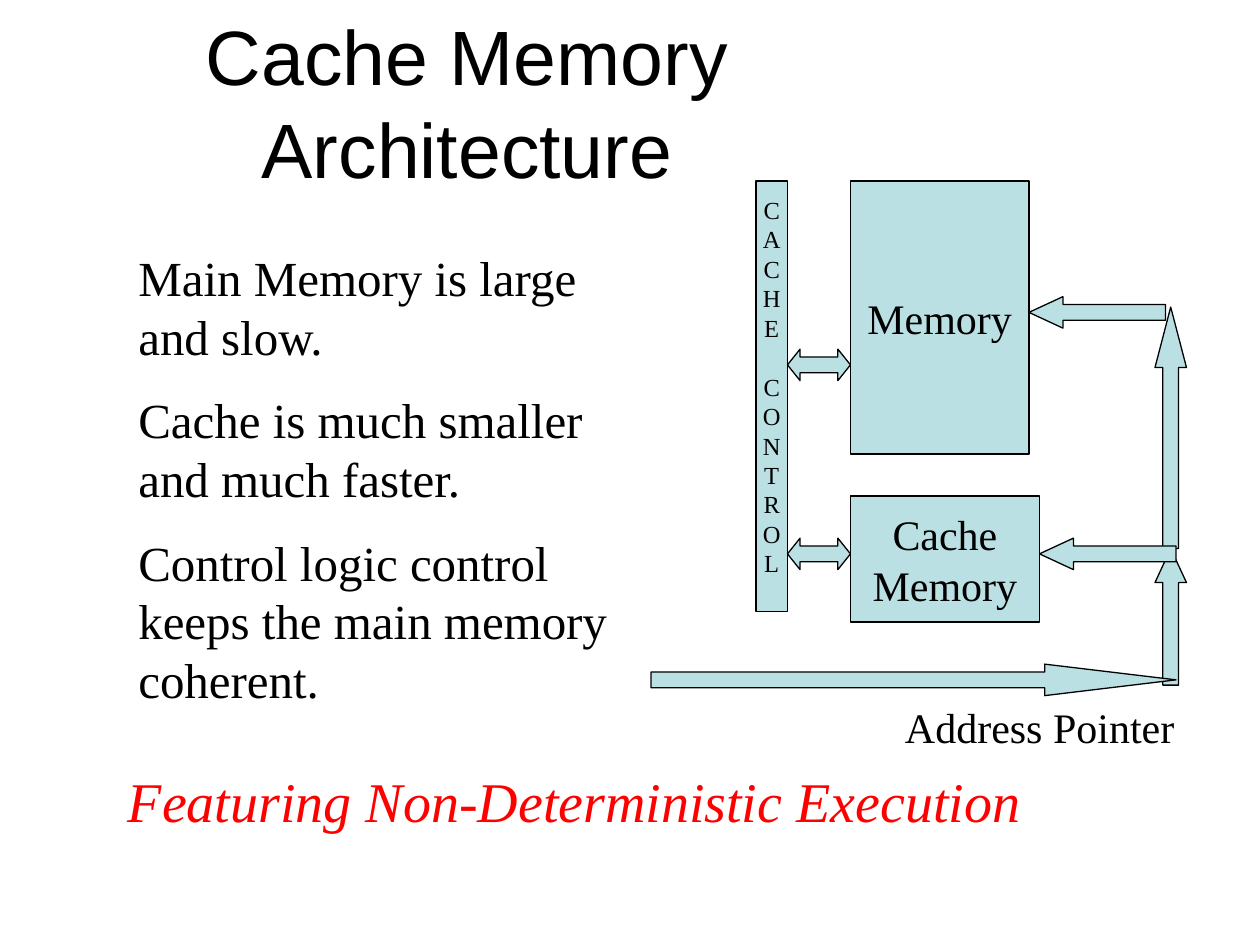
from pptx import Presentation
from pptx.dml.color import RGBColor
from pptx.enum.shapes import MSO_SHAPE as Preset
from pptx.enum.text import MSO_ANCHOR as Anchor, MSO_AUTO_SIZE as AutoSize, PP_ALIGN as Align
from pptx.util import Inches, Pt

prs = Presentation()
prs.slide_width, prs.slide_height = Inches(10), Inches(7.5)
slide = prs.slides.add_slide(prs.slide_layouts[5])

# The slide is a grid of 120 columns by 90 rows.
CELL = prs.slide_width / 120


def write(frame, paragraphs, size, font="Times New Roman", color="000000", italic=False,
          align=Align.LEFT, anchor=Anchor.TOP, wrap=True, gap=0, gap_before=None):
    """Fill a frame; gap goes before each later paragraph, or only before number gap_before."""
    frame.word_wrap, frame.auto_size, frame.vertical_anchor = wrap, AutoSize.NONE, anchor
    for number, wording in enumerate(paragraphs):
        paragraph = frame.add_paragraph() if number else frame.paragraphs[0]
        paragraph.text = wording
        paragraph.alignment = align
        if number and gap_before in (None, number):
            paragraph.space_before = Pt(gap)
        for run in paragraph.runs:
            run.font.name, run.font.size, run.font.italic = font, Pt(size), italic
            run.font.color.rgb = RGBColor.from_string(color)


def add_block(preset, column, row, columns, rows, adjust=(), rotation=0):
    block = slide.shapes.add_shape(preset, *(round(n * CELL) for n in (column, row, columns, rows)))
    block.shadow.inherit = False
    block.fill.solid()
    block.fill.fore_color.rgb = RGBColor.from_string("BBE0E3")
    block.line.color.rgb = RGBColor.from_string("000000")
    block.line.width = Pt(0.75)
    block.rotation = rotation
    for number, value in enumerate(adjust):
        block.adjustments[number] = value
    return block


title = slide.shapes.title
title.left, title.top, title.width, title.height = (round(n * CELL) for n in (9, 0.25, 71, 18.75))
write(title.text_frame, ["Cache Memory\vArchitecture"], 44, font="Arial",
      align=Align.CENTER, anchor=Anchor.MIDDLE)

statements = [
    "Main Memory is large and slow.",
    "Cache is much smaller and much faster.",
    "Control logic control keeps the main memory coherent.",
]
for place, paragraphs, style in [
    ((85, 66.25, 28.5, 6), ["Address Pointer"], dict(size=24, wrap=False)),
    ((12, 23, 49, 46), statements, dict(size=28, gap=14)),
    ((11, 72.4, 104, 7.5), ["Featuring Non-Deterministic Execution"],
     dict(size=32, color="FF0000", italic=True)),
]:
    box = slide.shapes.add_textbox(*(round(n * CELL) for n in place))
    write(box.text_frame, paragraphs, **style)

# Stores and the address path, from back to front
centred = dict(align=Align.CENTER, anchor=Anchor.MIDDLE, wrap=False)
memory = add_block(Preset.RECTANGLE, 81, 17.25, 17, 26)
write(memory.text_frame, ["Memory"], 24, **centred)

add_block(Preset.UP_ARROW, 110, 52.25, 3, 13, (0.5, 1.08))
add_block(Preset.UP_ARROW, 85.5, 39.75, 3, 50, (0.5, 4.17), rotation=90)

cache = add_block(Preset.RECTANGLE, 81, 47.25, 18, 12)
write(cache.text_frame, ["Cache", "Memory"], 24, **centred)

add_block(Preset.UP_ARROW, 110, 29.25, 3, 23, (0.5, 1.92))

control = add_block(Preset.RECTANGLE, 72, 17.25, 3, 41)
control.text_frame.margin_bottom = round(2.5 * CELL)
write(control.text_frame, "CACHECONTROL", 14, gap=17, gap_before=len("CACHE"), **centred)

for column, row in [(98, 28.25), (99, 51.25)]:
    add_block(Preset.LEFT_ARROW, column, row, 13, 3, (0.5, 1.08))
for row in (33.25, 51.25):
    add_block(Preset.LEFT_RIGHT_ARROW, 75, row, 6, 3, (0.5, 0.4))

prs.save("out.pptx")
